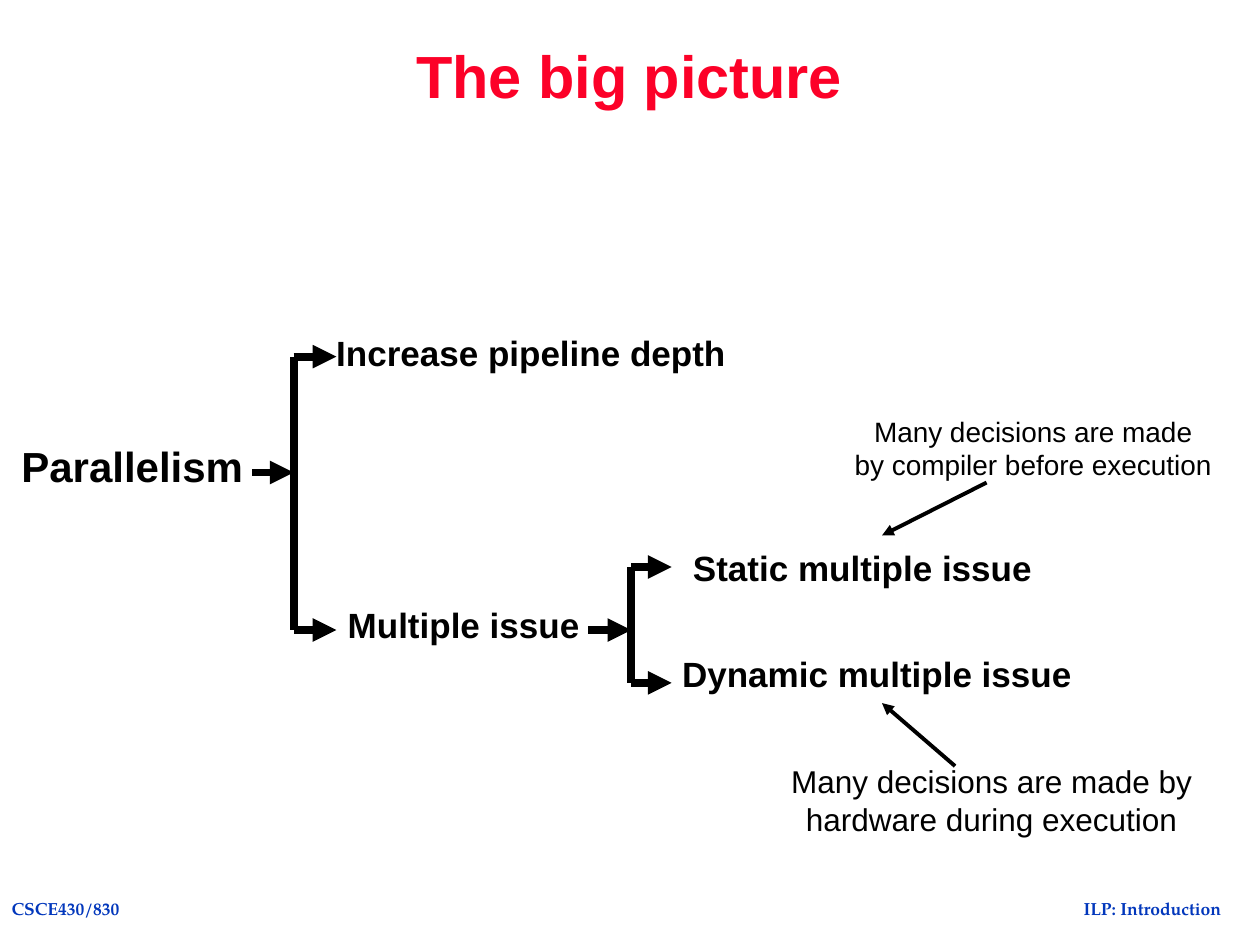
from pptx import Presentation
from pptx.dml.color import RGBColor
from pptx.enum import shapes, text
from pptx.oxml import ns
from pptx.util import Inches, Pt
from lxml import etree

CENTER, LEFT = text.PP_ALIGN.CENTER, text.PP_ALIGN.LEFT
MIDDLE, TOP = text.MSO_ANCHOR.MIDDLE, text.MSO_ANCHOR.TOP


def write(frame, lines, size, bold=True, color="000000", font="Arial",
          align=CENTER, anchor=TOP, spacing=1.0, wrap=False):
    frame.word_wrap = wrap
    frame.vertical_anchor = anchor
    frame.text = lines
    for paragraph in frame.paragraphs:
        paragraph.alignment = align
        paragraph.line_spacing = spacing
        paragraph.font.size = Pt(size)
        paragraph.font.bold = bold
        paragraph.font.name = font
        paragraph.font.color.rgb = RGBColor.from_string(color)


def draw_line(x1, y1, x2, y2, width, arrow=True):
    line = slide.shapes.add_connector(
        shapes.MSO_CONNECTOR.STRAIGHT, Inches(x1), Inches(y1), Inches(x2), Inches(y2))
    line.line.width = Pt(width)
    line.line.color.rgb = RGBColor.from_string("000000")
    properties = line._element.spPr
    if arrow:
        etree.SubElement(properties.find(ns.qn("a:ln")), ns.qn("a:tailEnd"), type="triangle")
    etree.SubElement(properties, ns.qn("a:effectLst"))


deck = Presentation()
deck.slide_width, deck.slide_height = Inches(10), Inches(7.5)
slide = deck.slides.add_slide(deck.slide_layouts[5])

# Title
title = slide.shapes.title
title.left, title.top, title.width, title.height = (
    Inches(1.08), Inches(0), Inches(7.83), Inches(1.25))
write(title.text_frame, "The big picture", 34, color="FC0128",
      anchor=MIDDLE, spacing=0.9, wrap=True)

# Labels, notes and footers: left, top, width, height, wording, size, format
footer = dict(color="0237BC", font="TeX Gyre Pagella")
centred = dict(anchor=MIDDLE, spacing=0.89)
labels = [
    (8.44, 7.08, 1.41, 0.26, "ILP: Introduction", 10, footer),
    (-0.01, 7.08, 1.06, 0.26, "CSCE430/830", 10, footer),
    (0.07, 3.5, 1.96, 0.45, "Parallelism", 24, centred),
    (2.57, 2.58, 3.3, 0.44, "Increase pipeline depth", 20, dict(align=LEFT)),
    (2.66, 4.74, 2.04, 0.44, "Multiple issue", 20, {}),
    (5.4, 4.33, 2.89, 0.39, "Static multiple issue", 20, centred),
    (5, 5.17, 3.92, 0.39, "Dynamic multiple issue", 20, dict(centred, wrap=True)),
    (6.6, 3.24, 3.2, 0.64, "Many decisions are made\nby compiler before execution",
     16, dict(bold=False)),
    (5.74, 6, 4.26, 0.7, "Many decisions are made by hardware during execution",
     18, dict(bold=False, wrap=True)),
]
for left, top, width, height, wording, size, style in labels:
    box = slide.shapes.add_textbox(Inches(left), Inches(top), Inches(width), Inches(height))
    write(box.text_frame, wording, size, **style)

# Forks: stem start, trunk x, branch end, stem y, upper and lower branch y
forks = [
    (2, 2.33, 2.67, 3.75, 2.83, 5),
    (4.67, 5.01, 5.33, 5, 4.5, 5.42),
]
for start, trunk, end, stem, upper, lower in forks:
    draw_line(start, stem, trunk, stem, 4.5)
    draw_line(trunk, upper, trunk, lower, 4.5, arrow=False)
    for branch in (upper, lower):
        draw_line(trunk, branch, end, branch, 4.5)

# Arrows from the notes to the issue types
draw_line(7.83, 3.83, 7, 4.25, 2.25)
draw_line(7.58, 6.08, 7, 5.58, 2.25)

deck.save("out.pptx")
